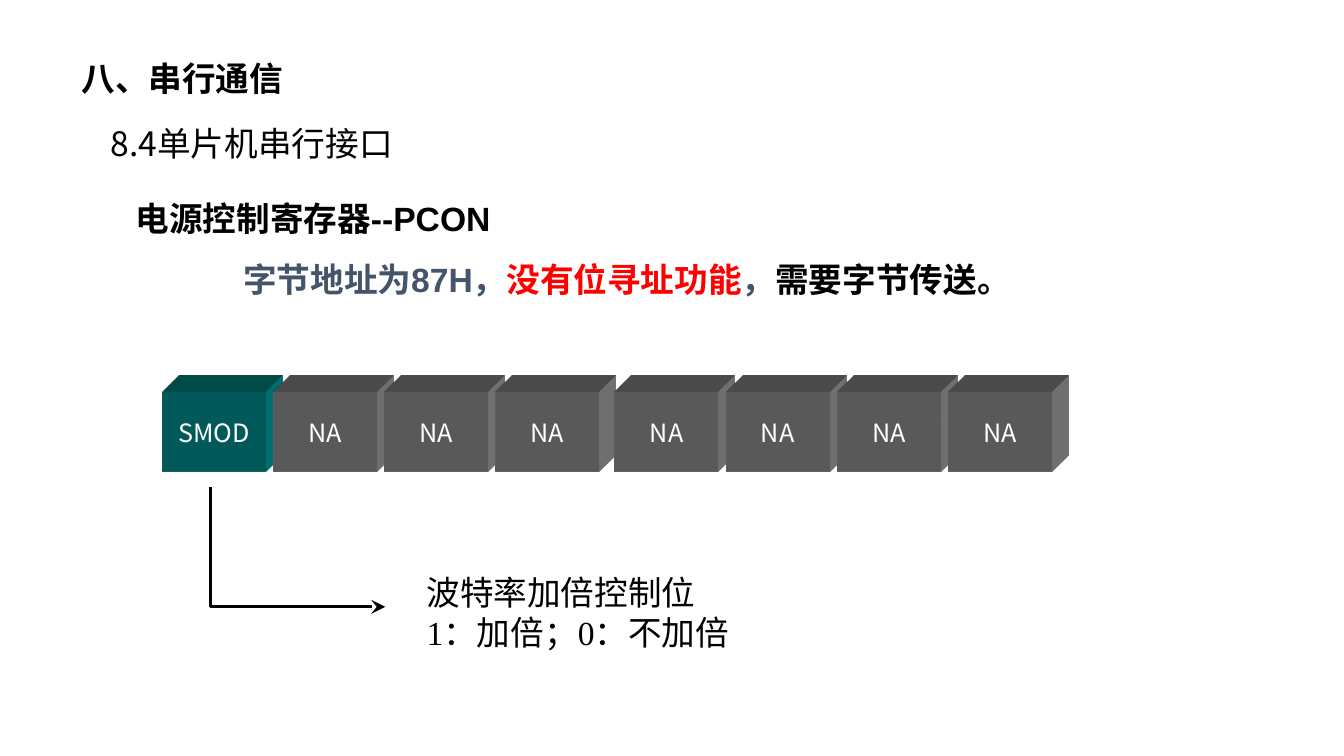
from dataclasses import dataclass

from lxml.etree import SubElement
from pptx import Presentation
from pptx.dml.color import RGBColor
from pptx.enum.lang import MSO_LANGUAGE_ID as Language
from pptx.enum.shapes import MSO_SHAPE as Preset
from pptx.enum.text import MSO_ANCHOR as Anchor, PP_ALIGN as Align
from pptx.oxml.ns import qn
from pptx.util import Inches, Pt

SLIDE_WIDTH, SLIDE_HEIGHT = Inches(13.33), Inches(7.5)


@dataclass(frozen=True)
class Theme:
    black: str = "000000"
    white: str = "FFFFFF"
    slate: str = "44546A"
    red: str = "FF0000"
    teal: str = "008080"
    gray: str = "808080"
    chinese: str = "Noto Sans CJK SC"
    sans: str = "Arial"
    serif: str = "Times New Roman"
    text_size: int = 24
    bit_size: int = 18
    line_width: int = 2


THEME = Theme()


def across(percent):
    return round(SLIDE_WIDTH * percent / 100)


def down(percent):
    return round(SLIDE_HEIGHT * percent / 100)


def add_element(parent, tag, **attributes):
    return SubElement(parent, qn(tag), attributes)


def add_run(paragraph, text, typeface, color=THEME.black, size=THEME.text_size, bold=False):
    run = paragraph.add_run()
    run.text = text
    font = run.font
    font.name, font.size, font.bold = typeface, Pt(size), bold
    font.language_id = Language.SIMPLIFIED_CHINESE
    font.color.rgb = RGBColor.from_string(color)
    add_element(font._element, "a:ea", typeface=THEME.chinese)


def add_text(slide, left, top, width, height, lines, typeface, bold=False):
    """Each line is a list of (text, color) pairs; places are percent of the slide."""
    box = slide.shapes.add_textbox(across(left), down(top), across(width), down(height))
    frame = box.text_frame
    frame.word_wrap = True
    for index, line in enumerate(lines):
        paragraph = frame.add_paragraph() if index else frame.paragraphs[0]
        for text, color in line:
            add_run(paragraph, text, typeface, color, bold=bold)


def extrude(shape, color):
    """Give the shape depth towards the top right."""
    properties = shape._element.spPr
    scene = add_element(properties, "a:scene3d")
    add_element(scene, "a:camera", prst="legacyObliqueTopRight")
    add_element(scene, "a:lightRig", rig="legacyFlat3", dir="b")
    solid = add_element(properties, "a:sp3d", extrusionH="430200", prstMaterial="legacyMatte")
    for bevel in ("a:bevelT", "a:bevelB"):
        add_element(solid, bevel, w="13500", h="13500", prst="angle")
    add_element(add_element(solid, "a:extrusionClr"), "a:srgbClr", val=color)


def add_bit(slide, left, label, color):
    block = slide.shapes.add_shape(
        Preset.RECTANGLE, across(left), down(51.87), across(7.68), down(10.56))
    block.shadow.inherit = False
    block.fill.solid()
    block.fill.fore_color.rgb = RGBColor.from_string(color)
    block.line.fill.background()
    extrude(block, color)
    frame = block.text_frame
    frame.word_wrap = False
    frame.vertical_anchor = Anchor.MIDDLE
    paragraph = frame.paragraphs[0]
    paragraph.alignment = Align.CENTER
    add_run(paragraph, label, THEME.chinese, THEME.white, THEME.bit_size)


def add_register(slide):
    first_left, pitch, nibble_gap = 12.08, 8.27, 0.6
    for index, label in enumerate(["SMOD"] + ["NA"] * 7):
        left = first_left + index * pitch + index // 4 * nibble_gap
        add_bit(slide, left, label, THEME.gray if index else THEME.teal)


def add_elbow_arrow(slide, points):
    start, *others = [(across(x), down(y)) for x, y in points]
    builder = slide.shapes.build_freeform(*start)
    builder.add_line_segments(others, close=False)
    arrow = builder.convert_to_shape()
    arrow.shadow.inherit = False
    arrow.fill.background()
    arrow.line.color.rgb = RGBColor.from_string(THEME.black)
    arrow.line.width = Pt(THEME.line_width)
    outline = arrow.line._get_or_add_ln()
    add_element(outline, "a:tailEnd", type="stealth", w="lg", len="lg")


def main():
    presentation = Presentation()
    presentation.slide_width, presentation.slide_height = SLIDE_WIDTH, SLIDE_HEIGHT
    slide = presentation.slides.add_slide(presentation.slide_layouts[6])

    add_text(slide, 5.33, 7, 20.63, 6.67,
             [[("八、串行通信", THEME.black)]], THEME.chinese, bold=True)
    add_text(slide, 7.5, 15.6, 34.66, 22.93,
             [[("8.4单片机串行接口", THEME.black)]], THEME.chinese)
    add_text(slide, 9.36, 25.47, 60.62, 8.13,
             [[("电源控制寄存器--PCON", THEME.black)]], THEME.sans, bold=True)
    add_register(slide)
    add_text(slide, 31, 74.93, 29.56, 12.13,
             [[("波特率加倍控制位", THEME.black)],
              [("1：加倍；0：不加倍", THEME.black)]], THEME.serif)
    add_elbow_arrow(slide, [(15.68, 64.47), (15.68, 80.27), (28.66, 80.27)])
    add_text(slide, 17.36, 33.65, 57.09, 6.8,
             [[("字节地址为87H，", THEME.slate), ("没有位寻址功能", THEME.red),
               ("，", THEME.slate), ("需要字节传送。", THEME.black)]], THEME.sans, bold=True)

    presentation.save("out.pptx")


if __name__ == "__main__":
    main()
